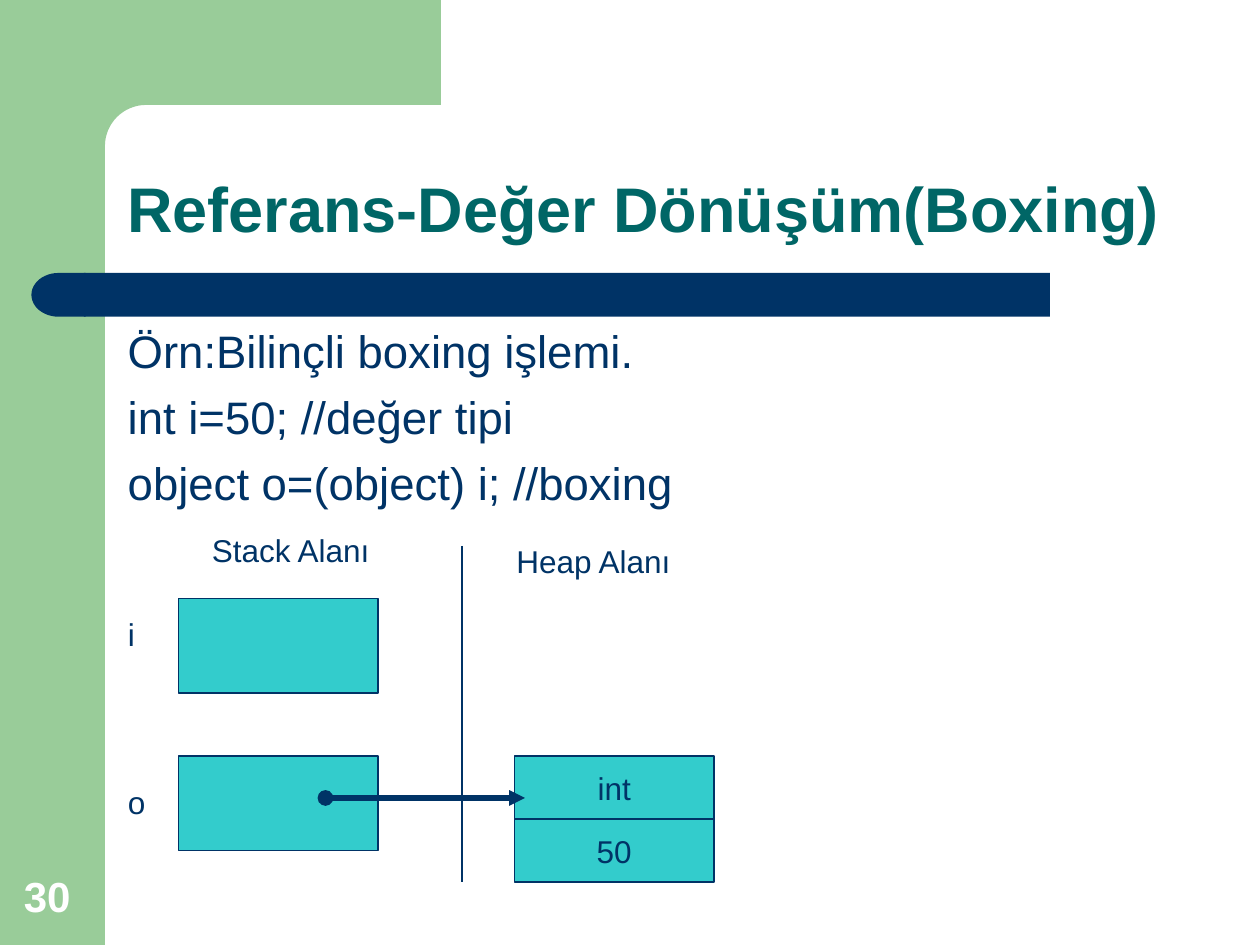
from math import cos, pi, sin

from lxml.etree import SubElement
from pptx import Presentation
from pptx.dml.color import RGBColor
from pptx.enum.shapes import MSO_CONNECTOR, MSO_SHAPE
from pptx.enum.text import MSO_ANCHOR, PP_ALIGN
from pptx.oxml.ns import qn
from pptx.util import Pt

COLORS = {
    "band": "99CC99",
    "navy": "003366",
    "title": "006666",
    "cell": "33CCCC",
    "number": "FFFFFF",
}
FONT = "Arial"
CELL_WIDTH = 114
STACK_LEFT, HEAP_LEFT = 102, 294


def color(name):
    return RGBColor.from_string(COLORS[name])


def add_run(paragraph, text, size, color_name, bold=False):
    run = paragraph.add_run()
    run.text = text
    run.font.name = FONT
    run.font.size = Pt(size)
    run.font.bold = bold
    run.font.color.rgb = color(color_name)


def paint(shape, fill, line=None):
    shape.shadow.inherit = False
    shape.fill.solid()
    shape.fill.fore_color.rgb = color(fill)
    if line:
        shape.line.color.rgb = color(line)
        shape.line.width = Pt(0.75)
    else:
        shape.line.fill.background()


def add_block(slide, kind, left, top, width, height, fill, line=None):
    block = slide.shapes.add_shape(kind, Pt(left), Pt(top), Pt(width), Pt(height))
    paint(block, fill, line)
    return block


def add_text(slide, left, top, width, height, lines, size, color_name="navy",
             bold=False, anchor=MSO_ANCHOR.TOP, inset=7.2, space_before=0,
             line_spacing=1.0):
    box = slide.shapes.add_textbox(Pt(left), Pt(top), Pt(width), Pt(height))
    frame = box.text_frame
    frame.word_wrap = True
    frame.vertical_anchor = anchor
    frame.margin_left = Pt(inset)
    for index, text in enumerate(lines):
        paragraph = frame.add_paragraph() if index else frame.paragraphs[0]
        paragraph.space_before = Pt(space_before)
        paragraph.line_spacing = line_spacing
        add_run(paragraph, text, size, color_name, bold)


def add_corner(slide):
    """Top band whose inner corner is a quarter ellipse."""
    center_x, center_y, radius_x, radius_y = 83.5, 83.5, 23.5, 23.5
    steps = 16
    angles = [pi / 2 * step / steps for step in range(steps + 1)]
    curve = [(center_x - radius_x * sin(a), center_y - radius_y * cos(a))
             for a in angles]
    outline = [(252, 60), *curve, (60, 92), (36, 92), (36, 0)]
    builder = slide.shapes.build_freeform(Pt(252), 0, scale=1.0)
    builder.add_line_segments([(Pt(x), Pt(y)) for x, y in outline])
    paint(builder.convert_to_shape(), "band")


def add_memory_cell(slide, left, top, height, value=""):
    cell = add_block(slide, MSO_SHAPE.RECTANGLE, left, top, CELL_WIDTH, height,
                     "cell", "navy")
    if value:
        frame = cell.text_frame
        frame.word_wrap = False
        frame.vertical_anchor = MSO_ANCHOR.MIDDLE
        frame.paragraphs[0].alignment = PP_ALIGN.CENTER
        add_run(frame.paragraphs[0], value, 18, "navy")


def add_line(slide, start, end, width, head=None, tail=None):
    line = slide.shapes.add_connector(
        MSO_CONNECTOR.STRAIGHT, *(Pt(value) for value in (*start, *end)))
    line.line.color.rgb = color("navy")
    line.line.width = Pt(width)
    outline = line.line._get_or_add_ln()
    for tag, kind in (("a:headEnd", head), ("a:tailEnd", tail)):
        if kind:
            SubElement(outline, qn(tag), type=kind)
    SubElement(line._element.spPr, qn("a:effectLst"))


def add_background(slide):
    add_block(slide, MSO_SHAPE.RECTANGLE, 0, 0, 60, 540, "band")
    add_corner(slide)
    add_block(slide, MSO_SHAPE.RECTANGLE, 48, 156, 552, 25, "navy")
    cap = add_block(slide, MSO_SHAPE.FLOWCHART_DELAY, 18, 156, 31, 25, "navy")
    cap._element.spPr.xfrm.set("flipH", "1")


def add_memory_diagram(slide):
    for top in (342, 432):
        add_memory_cell(slide, STACK_LEFT, top, 54)
    add_line(slide, (264, 312), (264, 504), 0.75)
    for top, value in ((432, "int"), (468, "50")):
        add_memory_cell(slide, HEAP_LEFT, top, 36, value)
    add_line(slide, (186, 456), (300, 456), 3, head="oval", tail="triangle")
    labels = (
        ("Stack Alanı", 114, 300, 108),
        ("Heap Alanı", 288, 306, 108),
        ("i", 66, 348, 30),
        ("o", 66, 444, 30),
    )
    for label, left, top, width in labels:
        add_text(slide, left, top, width, 29, [label], 18)


def main():
    presentation = Presentation()
    presentation.slide_width, presentation.slide_height = Pt(720), Pt(540)
    slide = presentation.slides.add_slide(presentation.slide_layouts[6])
    add_background(slide)
    add_text(slide, 6.5, 492, 46, 38, ["30"], 24, "number", bold=True,
             anchor=MSO_ANCHOR.BOTTOM)
    add_text(slide, 65.5, 65.5, 613, 78.5, ["Referans-Değer Dönüşüm(Boxing)"],
             36, "title", bold=True, anchor=MSO_ANCHOR.BOTTOM, line_spacing=0.9)
    code_lines = [
        "Örn:Bilinçli boxing işlemi.",
        "int i=50; //değer tipi",
        "object o=(object) i; //boxing",
    ]
    add_text(slide, 24, 181, 690, 132, code_lines, 26, inset=49, space_before=6.5)
    add_memory_diagram(slide)
    presentation.save("out.pptx")


if __name__ == "__main__":
    main()
